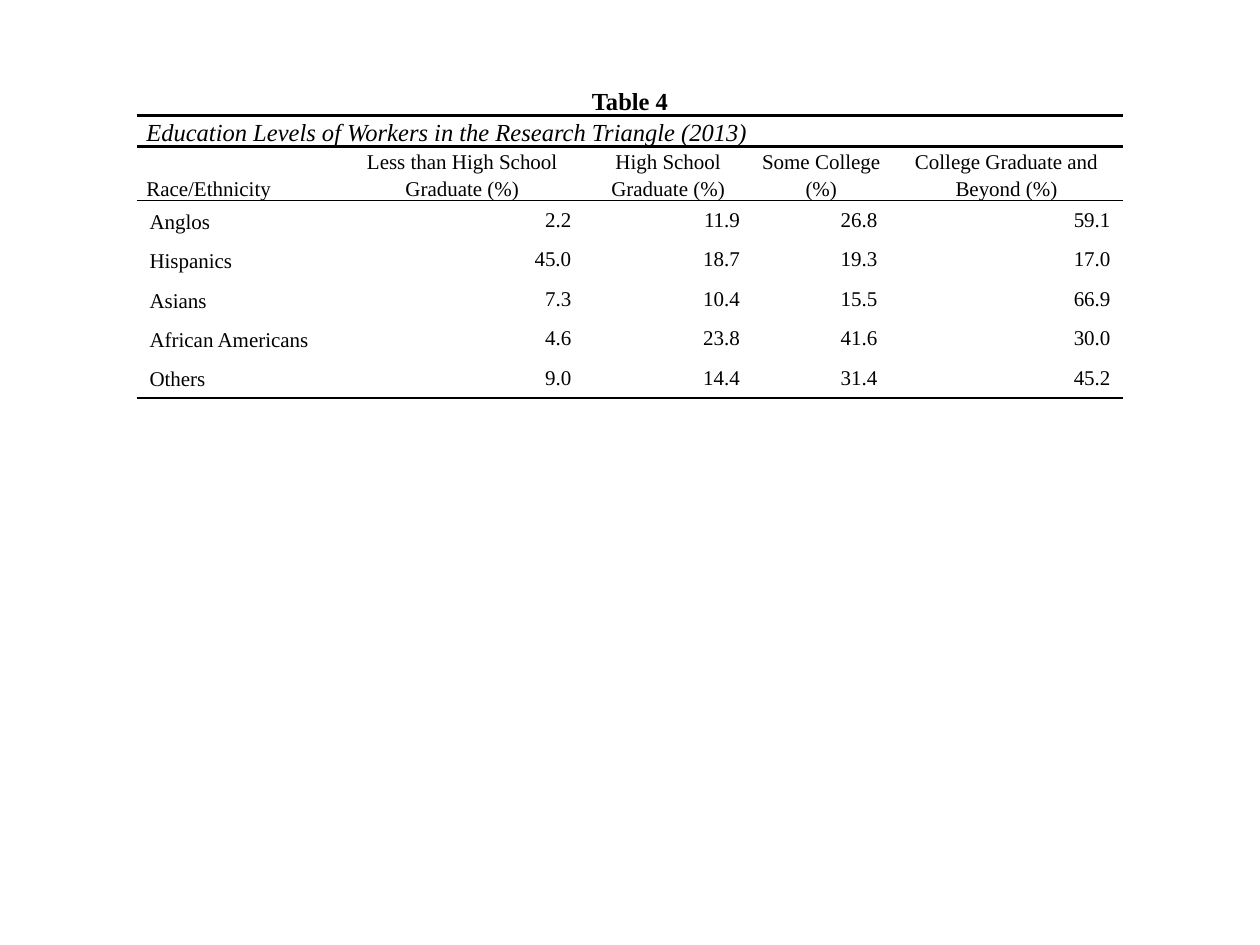
from lxml import etree
from pptx import Presentation
from pptx.dml.color import RGBColor
from pptx.enum.text import MSO_ANCHOR, PP_ALIGN
from pptx.oxml.ns import qn
from pptx.util import Cm, Pt

LEFT, CENTER, RIGHT = PP_ALIGN.LEFT, PP_ALIGN.CENTER, PP_ALIGN.RIGHT
TOP, MIDDLE, BOTTOM = MSO_ANCHOR.TOP, MSO_ANCHOR.MIDDLE, MSO_ANCHOR.BOTTOM
COLORS = {"ink": "000000"}

CAPTION = "Table 4"
SUBTITLE = "Education Levels of Workers in the Research Triangle (2013)"
HEADINGS = [
    "Race/Ethnicity",
    "Less than High School Graduate (%)",
    "High School Graduate (%)",
    "Some College (%)",
    "College Graduate and Beyond (%)",
]
WORKERS = [
    ("Anglos", 2.2, 11.9, 26.8, 59.1),
    ("Hispanics", 45.0, 18.7, 19.3, 17.0),
    ("Asians", 7.3, 10.4, 15.5, 66.9),
    ("African Americans", 4.6, 23.8, 41.6, 30.0),
    ("Others", 9.0, 14.4, 31.4, 45.2),
]
COLUMN_WIDTHS = [4.11, 4.9, 3.4, 2.77, 4.7]
ROW_HEIGHTS = [0.62, 0.62, 1.09] + [0.79] * len(WORKERS)
RULES = {1: 1.5, 2: 1.5, 3: 1, len(ROW_HEIGHTS): 1}


class TableSlide:
    """Hold the text style and the slide, and add tables and their cells."""

    def __init__(self, presentation, font, color):
        self.slide = presentation.slides.add_slide(presentation.slide_layouts[6])
        self.font = font
        self.color = color

    def table(self, left, top, widths, heights):
        frame = self.slide.shapes.add_table(
            len(heights), len(widths), Cm(left), Cm(top), Cm(sum(widths)), Cm(sum(heights))
        )
        table = frame.table
        table.first_row = table.horz_banding = False
        for column, width in zip(table.columns, widths):
            column.width = Cm(width)
        for row, height in zip(table.rows, heights):
            row.height = Cm(height)
        return table

    def border(self, cell, side, width):
        properties = cell._tc.get_or_add_tcPr()
        line = etree.SubElement(properties, qn(f"a:ln{side}"))
        if width:
            line.set("w", str(Pt(width)))
            fill = etree.SubElement(line, qn("a:solidFill"))
            etree.SubElement(fill, qn("a:srgbClr")).set("val", self.color)
        else:
            etree.SubElement(line, qn("a:noFill"))

    def rule_rows(self, table, rules):
        for index, row in enumerate(table.rows):
            for cell in row.cells:
                widths = {"L": 0, "R": 0, "T": rules.get(index), "B": rules.get(index + 1)}
                for side, width in widths.items():
                    self.border(cell, side, width)
                cell.fill.background()

    def cell_text(self, cell, text, align, anchor, size=12, spacing=1.15, bold=False,
                  italic=False, tight=False):
        cell.vertical_anchor = anchor
        if tight:
            cell.margin_left = cell.margin_right = Cm(0.19)
            cell.margin_top = cell.margin_bottom = 0
        paragraph = cell.text_frame.paragraphs[0]
        paragraph.text = text
        paragraph.alignment = align
        paragraph.line_spacing = spacing
        font = paragraph.runs[0].font
        font.name, font.size = self.font, Pt(size)
        font.bold, font.italic = bold, italic
        font.color.rgb = RGBColor.from_string(self.color)


presentation = Presentation()
presentation.slide_width, presentation.slide_height = Cm(25.4), Cm(19.05)
page = TableSlide(presentation, "Times New Roman", COLORS["ink"])
education = page.table(2.76, 1.7, COLUMN_WIDTHS, ROW_HEIGHTS)
page.rule_rows(education, RULES)

last_column = len(COLUMN_WIDTHS) - 1
for row in range(2):
    education.cell(row, 0).merge(education.cell(row, last_column))
page.cell_text(education.cell(0, 0), CAPTION, CENTER, TOP, size=14, bold=True, tight=True)
page.cell_text(education.cell(1, 0), SUBTITLE, LEFT, BOTTOM, size=14, italic=True, tight=True)

for column, heading in enumerate(HEADINGS):
    align = CENTER if column else LEFT
    page.cell_text(education.cell(2, column), heading, align, BOTTOM, tight=True)

for row, (group, *shares) in enumerate(WORKERS, start=3):
    page.cell_text(education.cell(row, 0), group, LEFT, BOTTOM)
    for column, share in enumerate(shares, start=1):
        page.cell_text(education.cell(row, column), f"{share:.1f}", RIGHT, MIDDLE, spacing=1.0)

presentation.save("out.pptx")
